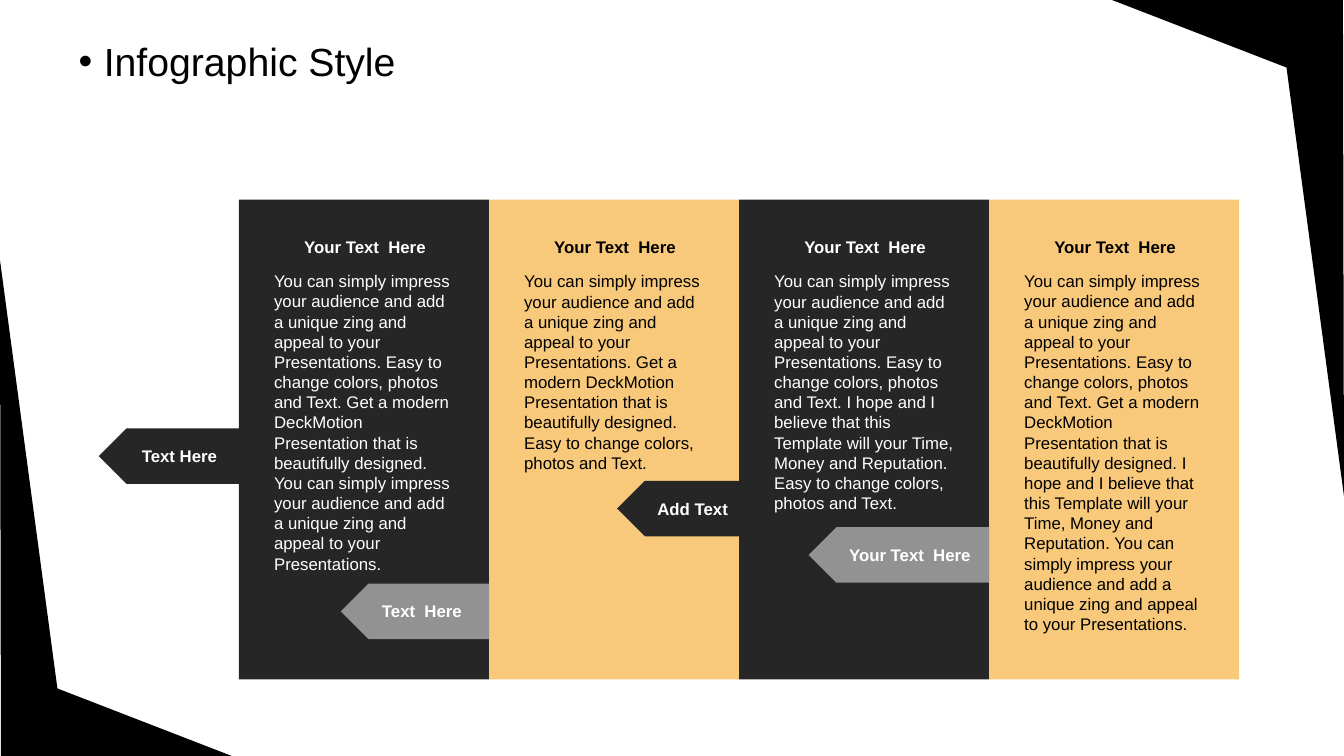
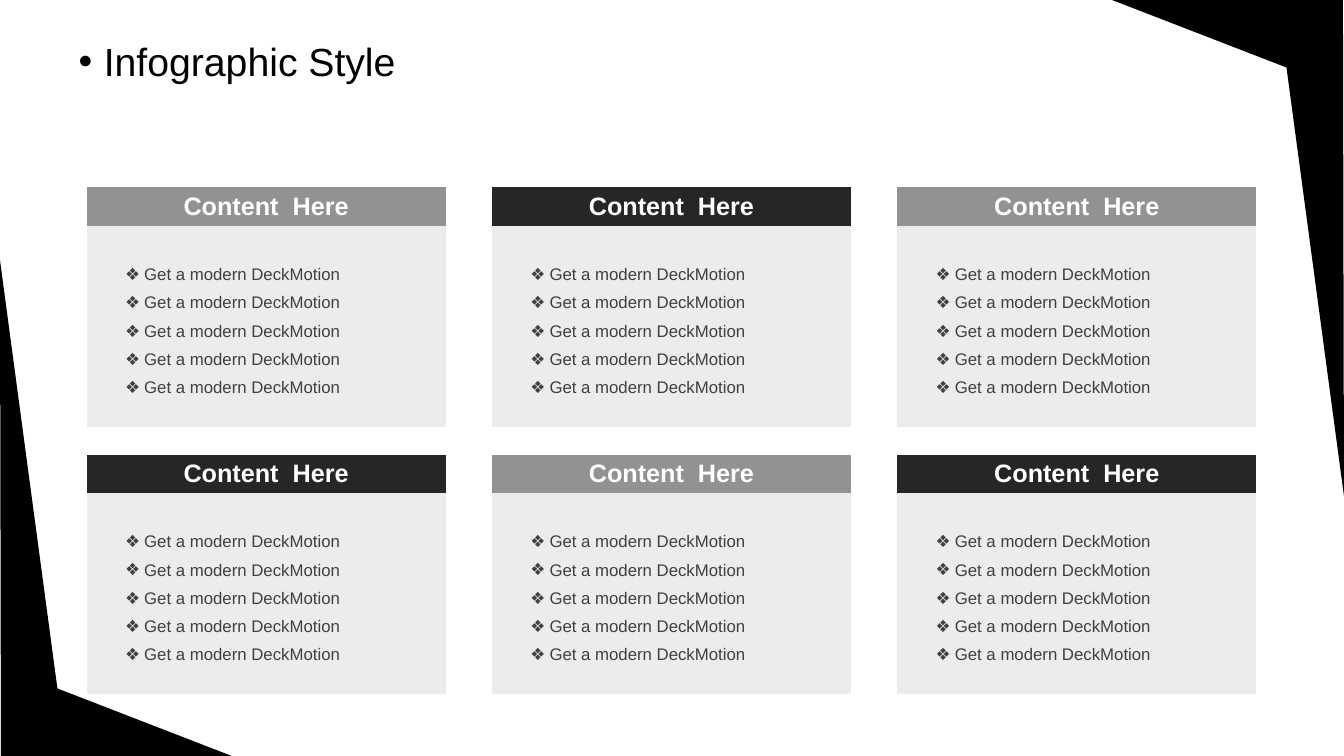
from dataclasses import dataclass
from lxml.etree import SubElement
from pptx import Presentation
from pptx.dml.color import RGBColor
from pptx.enum.shapes import MSO_SHAPE as SHAPE
from pptx.enum.text import MSO_ANCHOR as ANCHOR, MSO_AUTO_SIZE as AUTO, PP_ALIGN as ALIGN
from pptx.oxml.ns import qn
from pptx.util import Inches, Pt

WIDTH, HEIGHT = 13.33, 7.5
FONT = "Arial"
COLORS = {
    "black": "000000",
    "white": "FFFFFF",
    "dark": "262626",
    "gold": "F8C97A",
    "gray": "929292",
    "pale": "ECECEC",
    "text": "404040",
}
NO_GRID_STYLE = "{2D5ABB26-0587-4C30-8999-92F81FD0307C}"
HEADING = {"size": Pt(28), "bold": False}
LABEL = {"size": Pt(12), "bold": True}
BODY = {"size": Pt(12), "bold": False}
CARD_TITLE = {"size": Pt(18), "bold": True}
CORNER = [(0.01, 7.5), (0, 2.58), (0.57, 6.83), (2.3, 7.5)]


@dataclass(frozen=True)
class Grid:
    left: float
    top: float
    col_step: float
    row_step: float

    def at(self, col: int, row: int = 0) -> tuple[float, float]:
        return self.left + col * self.col_step, self.top + row * self.row_step


@dataclass(frozen=True)
class Tag:
    text: str
    top: float
    width: float
    fill: str
    label_left: float
    label_width: float


@dataclass(frozen=True)
class Panel:
    fill: str
    ink: str
    text_height: float
    text: str
    tag: Tag


PANELS = Grid(2.37, 1.98, 2.48, 4.76)
CARDS = Grid(0.86, 1.86, 4.02, 2.65)
TAG_HEIGHT, LABEL_HEIGHT = 0.55, 0.3

IMPRESS = ("You can simply impress your audience and add a unique zing "
           "and appeal to your Presentations.")
EASY = "Easy to change colors, photos and Text."
MODERN = "Get a modern DeckMotion  Presentation that is beautifully designed."
HOPE = "I hope and I believe that this Template will your Time, Money and Reputation."

PANEL_LIST = [
    Panel("dark", "white", 3.13, f"{IMPRESS} {EASY} {MODERN} {IMPRESS}",
          Tag("Text Here", 4.25, 1.39, "dark", 1.28, 1)),
    Panel("gold", "black", 2.12, f"{IMPRESS} {MODERN} {EASY}",
          Tag("Text  Here", 5.79, 1.47, "gray", 3.53, 1.31)),
    Panel("dark", "white", 2.52, f"{IMPRESS} {EASY} {HOPE} {EASY}",
          Tag("Add Text", 4.77, 1.21, "dark", 6.28, 1.18)),
    Panel("gold", "black", 3.74, f"{IMPRESS} {EASY} {MODERN} {HOPE} {IMPRESS}",
          Tag("Your Text  Here", 5.23, 1.79, "gray", 8.24, 1.57)),
]


def rgb(name: str) -> RGBColor:
    return RGBColor.from_string(COLORS[name])


def paint(sp, color: str) -> None:
    sp.shadow.inherit = False
    sp.fill.solid()
    sp.fill.fore_color.rgb = rgb(color)
    sp.line.fill.background()


def write(p, text: str, color: str, style: dict) -> None:
    r = p.add_run()
    r.text = text
    r.font.name = FONT
    r.font.color.rgb = rgb(color)
    for key, value in style.items():
        setattr(r.font, key, value)


def add_bullet(p, char: str, indent: float) -> None:
    pPr = p._p.get_or_add_pPr()
    pPr.set("marL", str(Inches(indent)))
    pPr.set("indent", str(-Inches(indent)))
    SubElement(pPr, qn("a:buFont"), typeface=FONT)
    SubElement(pPr, qn("a:buChar"), char=char)


def add_box(s, kind, left: float, top: float, width: float, height: float, color: str):
    sp = s.shapes.add_shape(kind, Inches(left), Inches(top), Inches(width), Inches(height))
    paint(sp, color)
    return sp


def add_text(shapes, left: float, top: float, width: float, height: float,
             text: str, color: str, style: dict, align=ALIGN.LEFT) -> None:
    tf = shapes.add_textbox(Inches(left), Inches(top), Inches(width), Inches(height)).text_frame
    tf.word_wrap = True
    tf.auto_size = AUTO.SHAPE_TO_FIT_TEXT
    p = tf.paragraphs[0]
    p.alignment = align
    write(p, text, color, style)


# Shared layout: heading placeholder and corner shapes
def prepare_layout(layout) -> None:
    for ph in list(layout.placeholders):
        if ph.placeholder_format.idx != 1:
            ph._element.getparent().remove(ph._element)
    body = layout.placeholders[0]
    body.left, body.top = Inches(0.68), Inches(0.37)
    body.width, body.height = Inches(12.66), Inches(0.79)


def add_corners(s) -> None:
    opposite = [(WIDTH - x, HEIGHT - y) for x, y in CORNER]
    tree = s.slide_layout.shapes._spTree
    for i, points in enumerate((CORNER, opposite)):
        start, *rest = [(Inches(x), Inches(y)) for x, y in points]
        builder = s.shapes.build_freeform(*start)
        builder.add_line_segments(rest, close=True)
        sp = builder.convert_to_shape()
        paint(sp, "black")
        sp.name = f"Corner {i + 1}"
        sp._element.nvSpPr.cNvPr.id = 20 + i
        tree.insert(2 + i, sp._element)


def add_slide(prs, layout, heading: str):
    s = prs.slides.add_slide(layout)
    tf = s.placeholders[1].text_frame
    tf.auto_size = AUTO.NONE
    tf.vertical_anchor = ANCHOR.TOP
    p = tf.paragraphs[0]
    add_bullet(p, "•", 0.25)
    p.line_spacing, p.space_before = 0.9, Pt(0)
    write(p, heading, "black", HEADING)
    return s


# Panels with arrow tags
def add_tag(s, tag: Tag, right: float) -> None:
    arrow = add_box(s, SHAPE.PENTAGON, right - tag.width, tag.top,
                    tag.width, TAG_HEIGHT, tag.fill)
    arrow.rotation = 180
    label_top = tag.top + (TAG_HEIGHT - LABEL_HEIGHT) / 2
    add_text(s.shapes, tag.label_left, label_top, tag.label_width, LABEL_HEIGHT,
             tag.text, "white", LABEL, ALIGN.CENTER)


def add_panel(s, panel: Panel, col: int) -> None:
    left, top = PANELS.at(col)
    add_box(s, SHAPE.RECTANGLE, left, top, PANELS.col_step, PANELS.row_step, panel.fill)
    add_tag(s, panel.tag, left)
    shapes = s.shapes.add_group_shape().shapes
    add_text(shapes, left + 0.25, top + 0.66, 1.99, panel.text_height,
             panel.text, panel.ink, BODY)
    add_text(shapes, left + 0.36, top + 0.32, 1.78, LABEL_HEIGHT,
             "Your Text  Here", panel.ink, LABEL, ALIGN.CENTER)


# Cards made of tables
def add_card(s, col: int, row: int) -> None:
    cols, rows = [0.28, 3, 0.28], [0.38] + [0.5] * 4
    left, top = CARDS.at(col, row)
    frame = s.shapes.add_table(len(rows), len(cols), Inches(left), Inches(top),
                               Inches(sum(cols)), Inches(sum(rows)))
    table = frame.table
    table.first_row = table.horz_banding = False
    table._tbl.tblPr.find(qn("a:tableStyleId")).text = NO_GRID_STYLE
    for lines, sizes, key in ((table.columns, cols, "width"), (table.rows, rows, "height")):
        for line, size in zip(lines, sizes):
            setattr(line, key, Inches(size))

    header = "dark" if (col + row) % 2 else "gray"
    for r in range(len(rows)):
        for c in range(len(cols)):
            cell = table.cell(r, c)
            cell.fill.solid()
            cell.fill.fore_color.rgb = rgb("pale" if r else header)
            cell.margin_top = cell.margin_bottom = Inches(0.04)
            cell.vertical_anchor = ANCHOR.MIDDLE

    title, content = table.cell(0, 0), table.cell(1, 1)
    title.merge(table.cell(0, 2))
    content.merge(table.cell(4, 1))
    p = title.text_frame.paragraphs[0]
    p.alignment = ALIGN.CENTER
    write(p, "Content  Here", "white", CARD_TITLE)
    tf = content.text_frame
    for i in range(5):
        p = tf.add_paragraph() if i else tf.paragraphs[0]
        add_bullet(p, "❖", 0.19)
        p.line_spacing = 1.5
        write(p, "Get a modern DeckMotion", "text", BODY)


def main() -> None:
    prs = Presentation()
    prs.slide_width, prs.slide_height = Inches(WIDTH), Inches(HEIGHT)
    layout = prs.slide_layouts[1]
    prepare_layout(layout)

    # Slide 1: panels
    s = add_slide(prs, layout, "Infographic Style")
    add_corners(s)
    for col, panel in enumerate(PANEL_LIST):
        add_panel(s, panel, col)

    # Slide 2: cards
    s = add_slide(prs, layout, "Infographic Style")
    for row in range(2):
        for col in range(3):
            add_card(s, col, row)

    prs.save("out.pptx")


if __name__ == "__main__":
    main()
